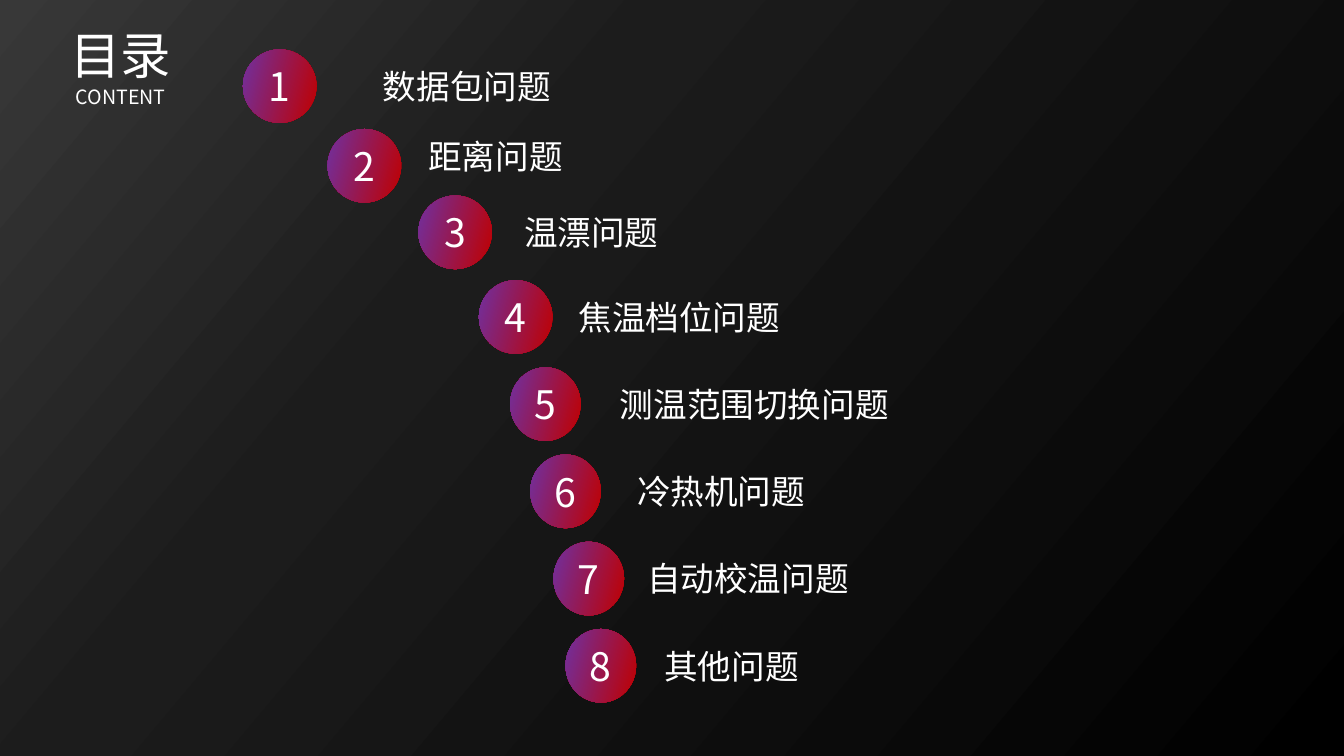
"""Build a dark contents slide with eight numbered topics in a descending cascade."""
import copy

import pptx
import pptx.dml.color
import pptx.enum.shapes
import pptx.enum.text
import pptx.oxml
import pptx.oxml.ns
import pptx.util

COLORS = {"white": "FFFFFF", "red": "C00000", "purple": "7030A0",
          "grey": "383838", "dark": "1C1C1C", "black": "000000"}
CJK = "Noto Sans CJK SC"
COLS, ROWS = 133.3, 75
CELL = pptx.util.Inches(0.1)
CIRCLE_H, LABEL_H = 7.3, 5
FIRST_EVEN, EVEN_TOP, EVEN_STEP = 3, 27.8, 8.65
TOPS = [4.9, 12.8, 19.4] + [EVEN_TOP + EVEN_STEP * i for i in range(5)]
TOPICS = [
    ("数据包问题", 24.1, 37, 27.2, "Arial", 0),
    ("距离问题", 32.5, 41.5, 31.5, CJK, -0.95),
    ("温漂问题", 41.5, 51, 15.3, "Arial", 0),
    ("焦温档位问题", 47.5, 56.4, 22, "Arial", 0),
    ("测温范围切换问题", 50.6, 60.5, 47.1, "Arial", 0),
    ("冷热机问题", 52.6, 62.2, 51.7, "Arial", 0),
    ("自动校温问题", 54.9, 63.2, 47.1, "Arial", 0),
    ("其他问题", 56.1, 64.9, 47.1, "Arial", 0),
]


def cells(*values):
    """Turn grid columns and rows into lengths."""
    return [round(v * CELL) for v in values]


def rgb(name):
    """Look up a named colour."""
    return pptx.dml.color.RGBColor.from_string(COLORS[name])


def paint_gradient(owner, fill, stops, angle):
    """Fill with a linear gradient at a clockwise angle."""
    fill.gradient()
    fill.gradient_angle = 360 - angle
    gs_list = owner.element.find(".//" + pptx.oxml.ns.qn("a:gsLst"))
    for _ in stops[2:]:
        gs_list.append(copy.deepcopy(gs_list[-1]))
    for stop, (position, color) in zip(fill.gradient_stops, stops):
        stop.color.rgb = rgb(color)
        stop.position = position


def add_run(p, text, size, font=CJK):
    """Add one white run with Latin and East Asian fonts."""
    r = p.add_run()
    r.text = text
    r.font.size = pptx.util.Pt(size)
    r.font.name = font
    r.font.color.rgb = rgb("white")
    ea = pptx.oxml.parse_xml(f'<a:ea {pptx.oxml.ns.nsdecls("a")} typeface="{CJK}"/>')
    r.font._element.append(ea)


def add_title(s):
    """Place the two-line heading in the title placeholder."""
    sp = s.shapes.title
    sp.left, sp.top, sp.width, sp.height = cells(6, 1.9, 19.9, 9.7)
    tf = sp.text_frame
    tf.auto_size = pptx.enum.text.MSO_AUTO_SIZE.NONE
    tf.vertical_anchor = pptx.enum.text.MSO_ANCHOR.TOP
    for i, (text, size) in enumerate([("目录", 36), ("CONTENT", 14)]):
        p = tf.add_paragraph() if i else tf.paragraphs[0]
        p.alignment = pptx.enum.text.PP_ALIGN.LEFT
        add_run(p, text, size)
    p._p.get_or_add_pPr().set("marL", str(pptx.util.Inches(0.05)))


def add_number(s, number, left, top, width):
    """Add a gradient circle holding its number."""
    sp = s.shapes.add_shape(pptx.enum.shapes.MSO_SHAPE.OVAL, *cells(left, top, width, CIRCLE_H))
    sp.shadow.inherit = False
    sp.line.fill.background()
    paint_gradient(sp, sp.fill, [(0, "red"), (1, "purple")], 195)
    tf = sp.text_frame
    tf.margin_left = tf.margin_right = tf.margin_top = tf.margin_bottom = 0
    tf.vertical_anchor = pptx.enum.text.MSO_ANCHOR.MIDDLE
    p = tf.paragraphs[0]
    p.alignment = pptx.enum.text.PP_ALIGN.CENTER
    add_run(p, str(number), 28)


def add_label(s, text, left, top, width, font):
    """Add a topic label, wrapping only in the wide boxes."""
    sp = s.shapes.add_textbox(*cells(left, top, width, LABEL_H))
    tf = sp.text_frame
    tf.word_wrap = width > 25
    tf.auto_size = pptx.enum.text.MSO_AUTO_SIZE.SHAPE_TO_FIT_TEXT
    add_run(tf.paragraphs[0], text, 24, font)


def main():
    """Build and save the slide."""
    prs = pptx.Presentation()
    prs.slide_width, prs.slide_height = cells(COLS, ROWS)
    s = prs.slides.add_slide(prs.slide_layouts[5])
    paint_gradient(s, s.background.fill, [(0, "grey"), (0.34, "dark"), (1, "black")], 40)
    add_title(s)
    for i, (topic, top) in enumerate(zip(TOPICS, TOPS)):
        text, left, label_left, label_width, font, shift = topic
        add_number(s, i + 1, left, top, 7 if i > FIRST_EVEN else CIRCLE_H)
        label_top = top + (CIRCLE_H - LABEL_H) / 2 + shift
        add_label(s, text, label_left, label_top, label_width, font)
    prs.save("out.pptx")


if __name__ == "__main__":
    main()
